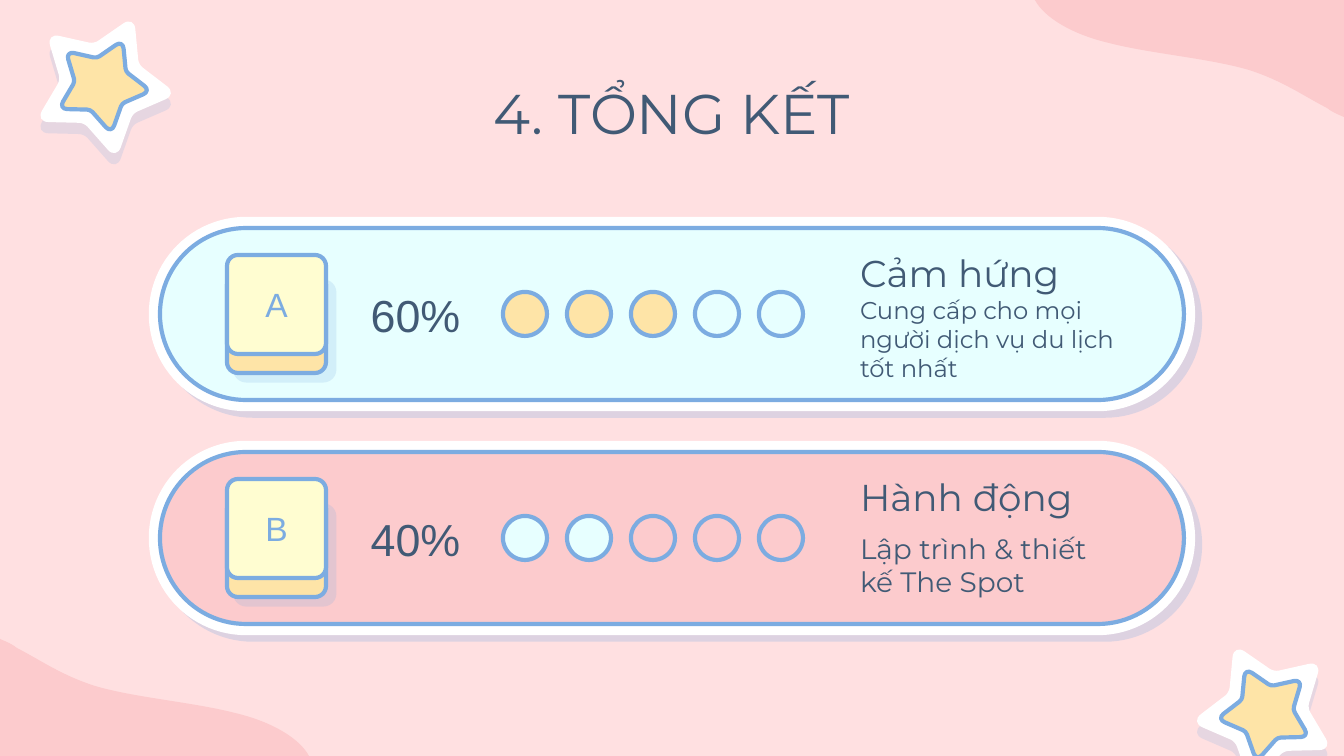
"""Build the summary slide with two rated cards."""
import math

import lxml.etree
import pptx
import pptx.dml.color
import pptx.enum.shapes
import pptx.enum.text
import pptx.oxml.ns
import pptx.util

UNIT = 914400 / 134.4
WIDE, HIGH = 1344, 756
HUES = {"back": "FFE0E1", "pink": "FCCBCD", "white": "FFFFFF", "gold": "FEE4A7",
        "blue": "7CACE1", "ice": "E7FFFF", "cream": "FFFDD1", "ink": "415A75"}
WAVE = [[(1035, 0)],
        [(1044, 17), (1071, 34), (1109, 43)],
        [(1152, 54), (1208, 58), (1249, 70)],
        [(1283, 81), (1302, 95), (1327, 108)],
        [(1332, 112), (1337, 114), (1344, 117)],
        [(1344, 0)]]
ROWS = [
    {"mark": "A", "rate": "60%", "full": 3, "fill": "ice", "dot": "gold",
     "head": "Cảm hứng", "text": "Cung cấp cho mọi người dịch vụ du lịch tốt nhất",
     "size": 13, "drop": 54},
    {"mark": "B", "rate": "40%", "full": 2, "fill": "pink", "dot": "ice",
     "head": "Hành động", "text": "Lập trình & thiết kế The Spot",
     "size": 15, "drop": 66},
]
SHAPE = pptx.enum.shapes.MSO_SHAPE
ALIGN = pptx.enum.text.PP_ALIGN
ANCHOR = pptx.enum.text.MSO_ANCHOR
NAME = pptx.oxml.ns.qn


def px(num):
    """Turn pixels into EMU."""
    return pptx.util.Emu(round(num * UNIT))


def rgb(hue):
    """Look up a colour by name."""
    return pptx.dml.color.RGBColor.from_string(HUES[hue])


def paint(shape, fill, line=None, width=2.25):
    """Set fill and outline, and drop the theme shadow."""
    shape.shadow.inherit = False
    shape.fill.solid()
    shape.fill.fore_color.rgb = rgb(fill)
    if line:
        shape.line.color.rgb = rgb(line)
        shape.line.width = pptx.util.Pt(width)
    else:
        shape.line.fill.background()
    return shape


def shade(shape, alpha, dist, angle):
    """Give a shape a hard blue shadow."""
    glow = shape._element.spPr.find(NAME("a:effectLst"))
    cast = lxml.etree.SubElement(
        glow, NAME("a:outerShdw"), blurRad="0", dist=str(pptx.util.Pt(dist)),
        dir=str(angle * 60000), algn="bl", rotWithShape="0")
    tone = lxml.etree.SubElement(cast, NAME("a:srgbClr"), val=HUES["blue"])
    lxml.etree.SubElement(tone, NAME("a:alpha"), val=str(alpha * 1000))


def write(shape, text, size, font="Montserrat", hue="ink", align=ALIGN.LEFT,
          anchor=ANCHOR.TOP):
    """Fill a shape with one formatted paragraph."""
    frame = shape.text_frame
    frame.word_wrap = True
    frame.auto_size = pptx.enum.text.MSO_AUTO_SIZE.NONE
    frame.vertical_anchor = anchor
    frame.margin_left = frame.margin_right = px(13)
    frame.margin_top = frame.margin_bottom = px(13)
    frame.text = text
    para = frame.paragraphs[0]
    para.alignment = align
    para.font.size = pptx.util.Pt(size)
    para.font.name = font
    para.font.color.rgb = rgb(hue)


def label(slide, box, text, size, **style):
    """Add a text box."""
    write(slide.shapes.add_textbox(*map(px, box)), text, size, **style)


def form(slide, box, kind, fill, line="blue", width=2.25, bend=None):
    """Add a preset shape."""
    shape = slide.shapes.add_shape(kind, *map(px, box))
    if bend is not None:
        shape.adjustments[0] = bend
    return paint(shape, fill, line, width)


def outline(slide, parts, fill, line=None):
    """Add a closed freeform; parts of three points become Bezier curves."""
    ends = [(px(x), px(y)) for part in parts for x, y in part]
    build = slide.shapes.build_freeform(*ends[0], scale=1.0)
    build.add_line_segments(ends[1:], close=True)
    shape = build.convert_to_shape()
    legs = iter(list(shape._element.iter(NAME("a:lnTo"))))
    for part in parts[1:]:
        first = next(legs)
        if len(part) == 3:
            first.tag = NAME("a:cubicBezTo")
            for leg in (next(legs), next(legs)):
                first.append(leg[0])
                leg.getparent().remove(leg)
    return paint(shape, fill, line)


def toward(start, end, dist):
    """Step from one point toward another."""
    ratio = dist / math.dist(start, end)
    return tuple(a + (b - a) * ratio for a, b in zip(start, end))


def star(slide, mid, tilt, scale, fill, line=None):
    """Add a five-armed star with rounded corners."""
    tips = []
    for k in range(10):
        reach = scale * (42 if k % 2 else 76)
        turn = math.radians(tilt + 36 * k)
        tips.append((mid[0] + reach * math.cos(turn),
                     mid[1] + reach * math.sin(turn)))
    parts = []
    for k, tip in enumerate(tips):
        last, after = tips[k - 1], tips[(k + 1) % 10]
        cut = scale * (5 if k % 2 else 13)
        parts += [[toward(tip, last, cut)],
                  [toward(tip, last, cut * 0.45), toward(tip, after, cut * 0.45),
                   toward(tip, after, cut)]]
    return outline(slide, parts, fill, line)


def decor(slide):
    """Add the corner waves and stars."""
    outline(slide, WAVE, "pink")
    outline(slide, [[(WIDE - x, HIGH - y) for x, y in part] for part in WAVE], "pink")
    for mid, tilt in (((102, 85), -65), ((1266, 713), -115)):
        shade(star(slide, mid, tilt, 1, "white"), 19, 6, 90)
        star(slide, mid, tilt, 0.65, "gold", "blue")


def card(slide, row, top):
    """Add one rated card."""
    pill = (160, top, 1024, 172)
    rim = form(slide, pill, SHAPE.ROUNDED_RECTANGLE, "white", "white", 12, 0.5)
    shade(rim, 25, 5.2, 43)
    form(slide, pill, SHAPE.ROUNDED_RECTANGLE, row["fill"], bend=0.5)
    base, key = (form(slide, (227, top + drop, 99, 99), SHAPE.ROUNDED_RECTANGLE,
                      fill, bend=0.11)
                 for drop, fill in ((46, "gold"), (27, "cream")))
    shade(base, 18, 6, 42)
    write(key, row["mark"], 18, font="Arial", hue="blue", align=ALIGN.CENTER,
          anchor=ANCHOR.MIDDLE)
    label(slide, (847, top + 7, 288, 73), row["head"], 20, anchor=ANCHOR.BOTTOM)
    label(slide, (847, top + row["drop"], 288, 99), row["text"], row["size"])
    label(slide, (347, top + 47, 137, 82), row["rate"], 24, font="Arial",
          align=ALIGN.CENTER)
    for k in range(5):
        fill = row["dot"] if k < row["full"] else row["fill"]
        form(slide, (503 + 64 * k, top + 64, 44, 44), SHAPE.OVAL, fill)


def main():
    """Build and save the slide."""
    deck = pptx.Presentation()
    deck.slide_width, deck.slide_height = px(WIDE), px(HIGH)
    slide = deck.slides.add_slide(deck.slide_layouts[5])
    slide.background.fill.solid()
    slide.background.fill.fore_color.rgb = rgb("back")
    decor(slide)
    title = slide.shapes.title
    title.left, title.top, title.width, title.height = map(px, (105, 66, 1134, 85))
    write(title, "4. TỔNG KẾT", 30, align=ALIGN.CENTER)
    for k, row in enumerate(ROWS):
        card(slide, row, 228 + 224 * k)
    deck.save("out.pptx")


if __name__ == "__main__":
    main()
